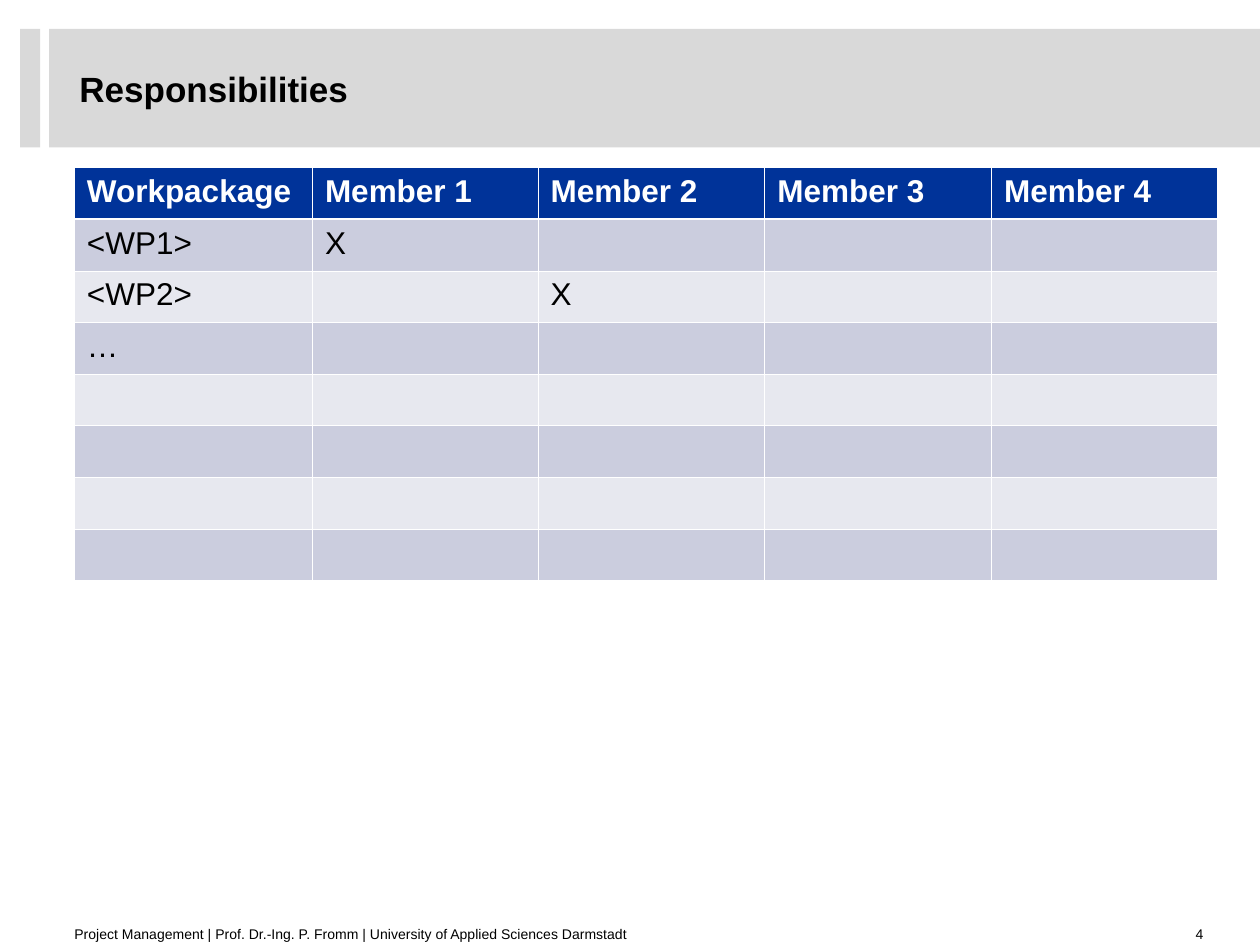
from lxml.etree import SubElement
from pptx import Presentation
from pptx.dml.color import RGBColor
from pptx.enum.shapes import MSO_SHAPE
from pptx.enum.text import MSO_ANCHOR, PP_ALIGN
from pptx.oxml.ns import qn
from pptx.util import Inches, Pt


def color(value):
    return RGBColor.from_string(value)


def add_text(paragraph, text, size, font_color="000000", bold=False):
    run = paragraph.add_run()
    run.text = text
    run.font.name = "Arial"
    run.font.size = Pt(size)
    run.font.bold = bold
    run.font.color.rgb = color(font_color)


presentation = Presentation()
presentation.slide_width = Inches(10)
presentation.slide_height = Inches(7.5)
slide = presentation.slides.add_slide(presentation.slide_layouts[5])

title = slide.shapes.title
title.left, title.top = Inches(0.63), Inches(0.31)
title.width, title.height = Inches(5.91), Inches(0.78)
frame = title.text_frame
frame.margin_left = frame.margin_right = frame.margin_top = frame.margin_bottom = 0
frame.vertical_anchor = MSO_ANCHOR.MIDDLE
paragraph = frame.paragraphs[0]
paragraph.alignment = PP_ALIGN.LEFT
paragraph.line_spacing = Pt(24)
add_text(paragraph, "Responsibilities", 20, bold=True)

for left, width in [(0.39, 9.61), (0.16, 0.16)]:
    band = slide.shapes.add_shape(
        MSO_SHAPE.RECTANGLE, Inches(left), Inches(0.23), Inches(width), Inches(0.94))
    band.shadow.inherit = False
    band.fill.solid()
    band.fill.fore_color.rgb = color("D9D9D9")
    band.line.fill.background()
    title._element.addprevious(band._element)

header = ["Workpackage"] + [f"Member {number}" for number in range(1, 5)]
entries = {(1, 0): "<WP1>", (1, 1): "X", (2, 0): "<WP2>", (2, 2): "X", (3, 0): "…"}
entries.update({(0, column): text for column, text in enumerate(header)})
row_count = 8

table = slide.shapes.add_table(
    row_count, len(header), Inches(0.59), Inches(1.33), Inches(9.07), Inches(3.28)).table
for column, width in zip(table.columns, [1.89, 1.79, 1.8, 1.8, 1.79]):
    column.width = Inches(width)
for row in table.rows:
    row.height = Inches(0.41)

for row in range(row_count):
    for column in range(len(header)):
        cell = table.cell(row, column)
        properties = cell._tc.get_or_add_tcPr()
        for side in ("lnL", "lnR", "lnT", "lnB"):
            below_header = (row, side) in [(0, "lnB"), (1, "lnT")]
            border = SubElement(properties, qn(f"a:{side}"))
            border.set("w", str(Pt(1.47 if below_header else 0.45)))
            border_fill = SubElement(border, qn("a:solidFill"))
            SubElement(border_fill, qn("a:srgbClr")).set("val", "FFFFFF")
        cell.fill.solid()
        cell.fill.fore_color.rgb = color(
            "003399" if row == 0 else "CBCDDE" if row % 2 else "E7E8EF")
        cell.margin_left = cell.margin_right = Inches(0.1)
        cell.margin_top = cell.margin_bottom = Inches(0.05)
        paragraph = cell.text_frame.paragraphs[0]
        if (row, column) in entries:
            add_text(paragraph, entries[row, column], 18,
                     "FFFFFF" if row == 0 else "000000", bold=row == 0)
        else:
            paragraph.font.size = Pt(18)

footers = [
    ("Project Management | Prof. Dr.-Ing. P. Fromm | University of Applied Sciences Darmstadt",
     0.59, 7.27, 7.28, 0.21, 0, PP_ALIGN.LEFT),
    ("4", 9.12, 7.28, 0.53, 0.2, 0.1, PP_ALIGN.RIGHT),
]
for text, left, top, width, height, margin_left, alignment in footers:
    footer = slide.shapes.add_textbox(Inches(left), Inches(top), Inches(width), Inches(height))
    frame = footer.text_frame
    frame.word_wrap = True
    frame.vertical_anchor = MSO_ANCHOR.BOTTOM
    frame.margin_left, frame.margin_right = Inches(margin_left), Inches(0.1)
    frame.margin_top = frame.margin_bottom = 0
    paragraph = frame.paragraphs[0]
    paragraph.alignment = alignment
    add_text(paragraph, text, 8)

presentation.save("out.pptx")
